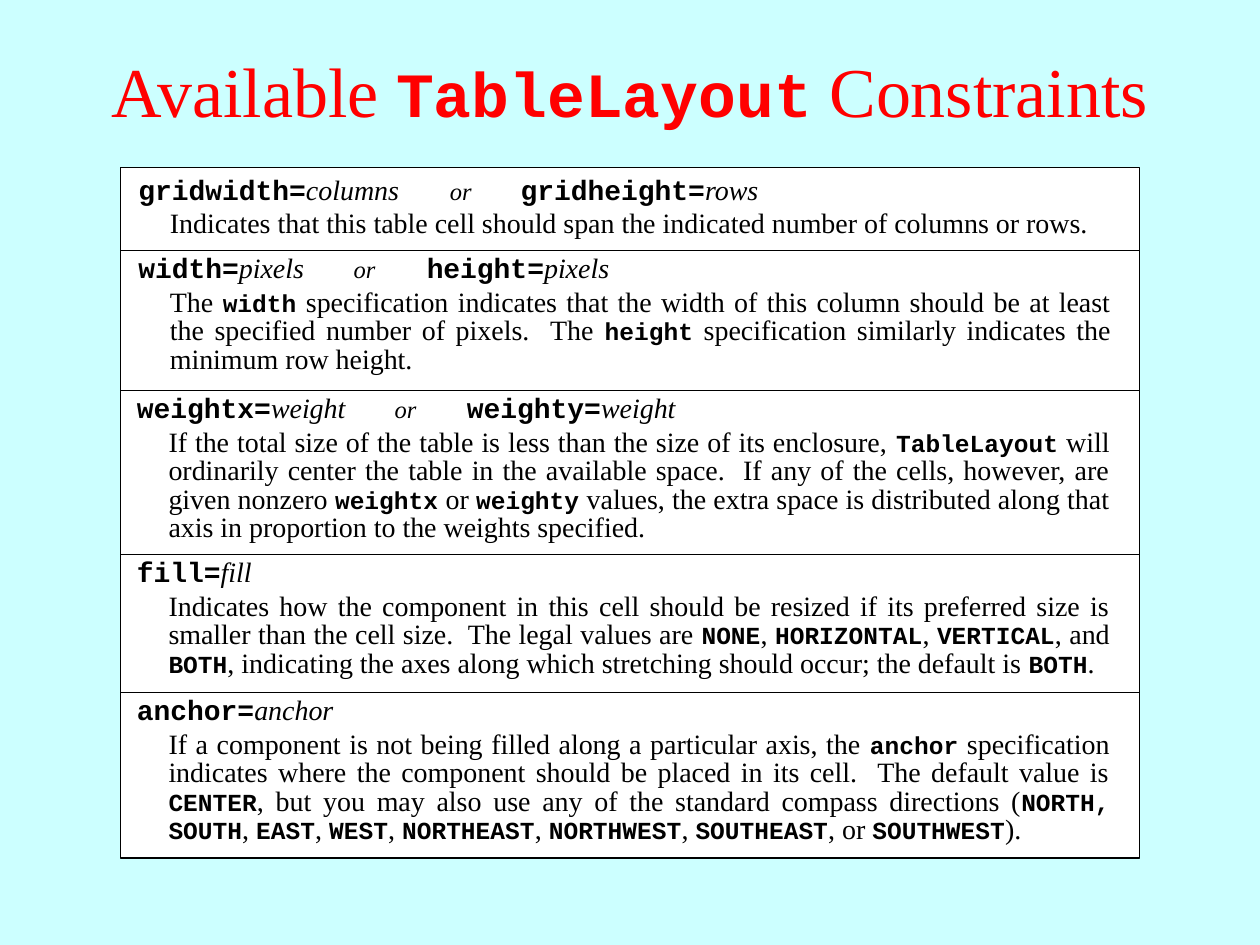
from lxml import etree
from pptx import Presentation
from pptx.dml.color import RGBColor
from pptx.enum import shapes, text
from pptx.oxml import ns
from pptx.util import Pt

HUES = {"back": "CCFFFF", "title": "FF0000", "ink": "000000", "cell": "FFFFFF"}
SERIF, MONO = "Times New Roman", "Courier New"


def write(para, words, plain, code, hue="ink", slant=False):
    """Add runs to a paragraph; parts between backticks are bold code."""
    for i, part in enumerate(words.split("`")):
        if not part:
            continue
        mono = i % 2 == 1
        run = para.add_run()
        run.text = part
        font = run.font
        font.name = MONO if mono else SERIF
        font.size = Pt(code if mono else plain)
        font.bold = mono
        font.italic = slant and not mono
        font.color.rgb = RGBColor.from_string(HUES[hue])


def add_text(group, left, top, width, height):
    """Add a wrapping text box and return its first paragraph."""
    frame = group.shapes.add_textbox(Pt(left), Pt(top), Pt(width), Pt(height)).text_frame
    frame.word_wrap = True
    return frame.paragraphs[0]


# Each row: top, left of heading, tab stops, heading parts, lines, explanation
rows = [
    (95.7, 72, (178, 218.5), ("`gridwidth=`columns", "`gridheight=`rows"), 1,
     "Indicates that this table cell should span the indicated number of "
     "columns or rows."),
    (143.2, 72, (123, 164.8), ("`width=`pixels", "`height=`pixels"), 3,
     "The `width` specification indicates that the width of this column should "
     "be at least the specified number of pixels.  The `height` specification "
     "similarly indicates the minimum row height."),
    (223.3, 71.2, (147.3, 188.6), ("`weightx=`weight", "`weighty=`weight"), 4,
     "If the total size of the table is less than the size of its enclosure, "
     "`TableLayout` will ordinarily center the table in the available space.  "
     "If any of the cells, however, are given nonzero `weightx` or `weighty` "
     "values, the extra space is distributed along that axis in proportion to "
     "the weights specified."),
    (317, 71.2, (), ("`fill=`fill",), 3,
     "Indicates how the component in this cell should be resized if its "
     "preferred size is smaller than the cell size.  The legal values are "
     "`NONE`, `HORIZONTAL`, `VERTICAL`, and `BOTH`, indicating the axes along "
     "which stretching should occur; the default is `BOTH`."),
    (395.8, 71.2, (), ("`anchor=`anchor",), 4,
     "If a component is not being filled along a particular axis, the `anchor` "
     "specification indicates where the component should be placed in its "
     "cell.  The default value is `CENTER`, but you may also use any of the "
     "standard compass directions (`NORTH, SOUTH`, `EAST`, `WEST`, "
     "`NORTHEAST`, `NORTHWEST`, `SOUTHEAST`, or `SOUTHWEST`)."),
]
ends = [row[0] for row in rows[1:]] + [490.3]

deck = Presentation()
deck.slide_width, deck.slide_height = Pt(720), Pt(540)
slide = deck.slides.add_slide(deck.slide_layouts[5])
slide.background.fill.solid()
slide.background.fill.fore_color.rgb = RGBColor.from_string(HUES["back"])

title = slide.shapes.title
title.left, title.top, title.width, title.height = Pt(0), Pt(6), Pt(720), Pt(90)
title.text_frame.auto_size = text.MSO_AUTO_SIZE.NONE
title.text_frame.vertical_anchor = text.MSO_ANCHOR.MIDDLE
para = title.text_frame.paragraphs[0]
para.alignment = text.PP_ALIGN.CENTER
write(para, "Available `TableLayout` Constraints", 40, 36, "title")

for i, (top, left, stops, heads, lines, words) in enumerate(rows):
    group = slide.shapes.add_group_shape()
    cell = group.shapes.add_shape(shapes.MSO_SHAPE.RECTANGLE, Pt(69), Pt(top),
                                  Pt(582), Pt(ends[i] - top))
    cell.shadow.inherit = False
    cell.fill.solid()
    cell.fill.fore_color.rgb = RGBColor.from_string(HUES["cell"])
    cell.line.color.rgb = RGBColor.from_string(HUES["ink"])
    cell.line.width = Pt(0.75)

    rise = 3.4 if i else 0.7
    head = add_text(group, left, top - rise, 576, 26.6)
    if stops:
        tabs = etree.SubElement(head._p.get_or_add_pPr(), ns.qn("a:tabLst"))
        for stop in stops:
            etree.SubElement(tabs, ns.qn("a:tab"), pos=str(Pt(stop)), algn="l")
    for j, part in enumerate(heads):
        if j:
            write(head, "\tor\t", 14, 14, slant=True)
        write(head, part, 16, 16, slant=True)

    body = add_text(group, left + 18, top - rise + 22, 552, 7.2 + 16.4 * lines)
    body.alignment = text.PP_ALIGN.JUSTIFY
    body.line_spacing = 0.85
    write(body, words, 16, 14)

deck.save("out.pptx")
